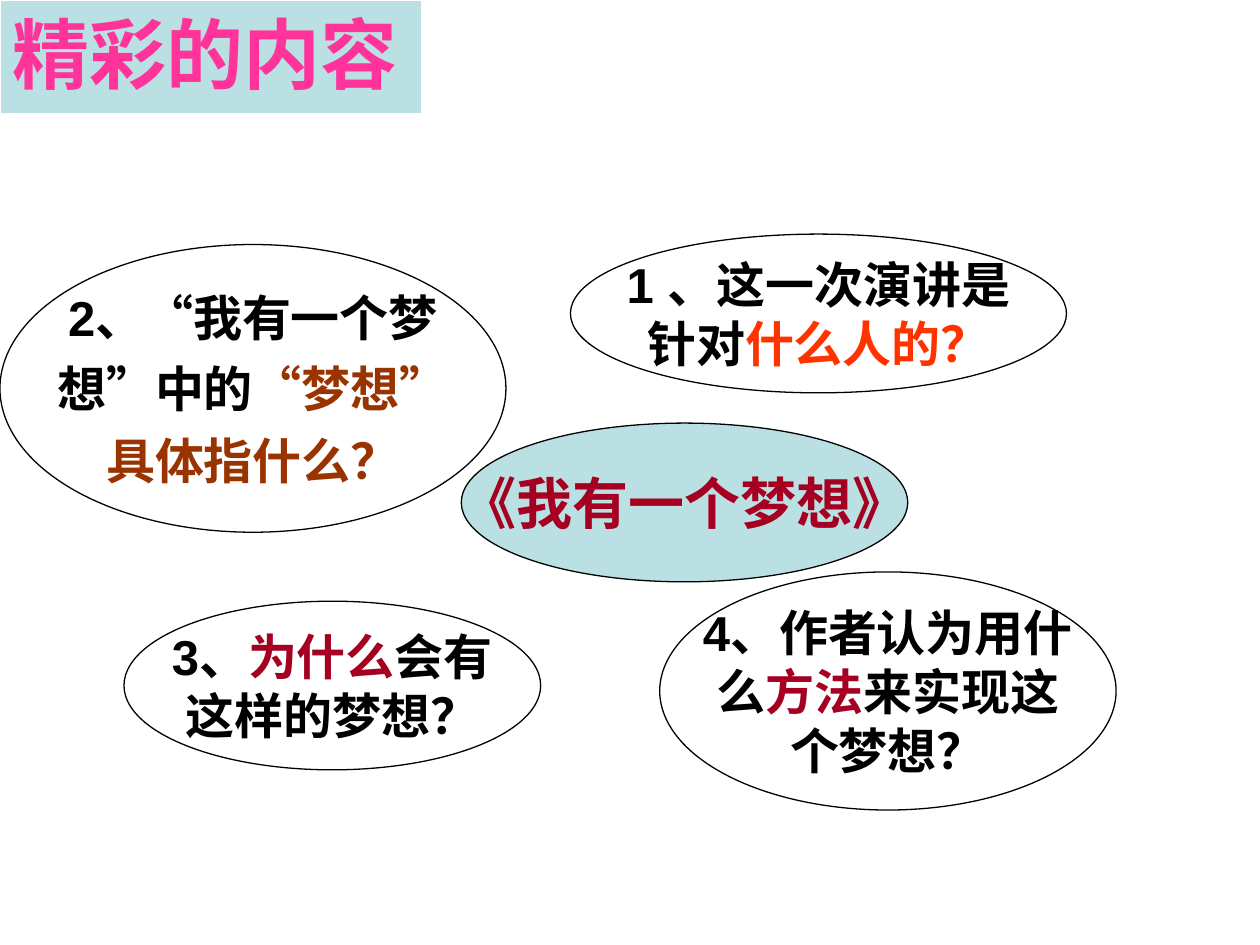
from pptx import Presentation
from pptx.dml.color import RGBColor
from pptx.enum.shapes import MSO_SHAPE
from pptx.enum.text import MSO_ANCHOR, MSO_AUTO_SIZE, PP_ALIGN
from pptx.util import Cm, Pt

BLACK = RGBColor(0x00, 0x00, 0x00)
WHITE = RGBColor(0xFF, 0xFF, 0xFF)
PALE_TEAL = RGBColor(0xBB, 0xE0, 0xE3)
PINK = RGBColor(0xFF, 0x33, 0x99)
CRIMSON = RGBColor(0xA5, 0x00, 0x21)
ORANGE = RGBColor(0xFF, 0x33, 0x00)
BROWN = RGBColor(0x99, 0x33, 0x00)

# Each question: left, top, width, height in cm, space between lines in points,
# and its lines, each a list of (text, colour) pieces.
QUESTIONS = [
    (11.5, 4.72, 10, 3.2, 0, [
        [("1 、这一次演讲是", BLACK)],
        [("针对", BLACK), ("什么人的？", ORANGE)],
    ]),
    (0, 4.93, 10.2, 5.8, 7, [
        [("2、“我有一个梦", BLACK)],
        [("想”中的", BLACK), ("“梦想”", BROWN)],
        [("具体指什么？", BROWN)],
    ]),
    (2.5, 12.12, 8.4, 3.4, 0, [
        [("3、", BLACK), ("为什么", CRIMSON), ("会有", BLACK)],
        [("这样的梦想？", BLACK)],
    ]),
    (13.3, 11.53, 9.2, 4.8, 0, [
        [("4、作者认为用什", BLACK)],
        [("么", BLACK), ("方法", CRIMSON), ("来实现这", BLACK)],
        [("个梦想？", BLACK)],
    ]),
]


class MindMap:
    font_name = "Arial"
    outline_width = Pt(0.75)

    def __init__(self, slide):
        self.slide = slide

    def shape(self, preset, box, fill, outline):
        shape = self.slide.shapes.add_shape(preset, *map(Cm, box))
        shape.shadow.inherit = False
        shape.fill.solid()
        shape.fill.fore_color.rgb = fill
        shape.line.color.rgb = outline
        shape.line.width = self.outline_width
        return shape

    def fill_paragraph(self, paragraph, pieces, size):
        """Fill a paragraph with (text, colour) pieces in the bold house font."""
        base_color = pieces[0][1]
        font = paragraph.font
        font.name, font.size, font.bold = self.font_name, Pt(size), True
        font.color.rgb = base_color
        for text, color in pieces:
            run = paragraph.add_run()
            run.text = text
            if color != base_color:
                run.font.color.rgb = color

    def heading(self, text):
        self.shape(MSO_SHAPE.RECTANGLE, (0, 0, 8.5, 2.3), PALE_TEAL, WHITE)
        frame = self.slide.shapes.add_textbox(0, 0, Cm(8.4), Cm(2.13)).text_frame
        frame.word_wrap = True
        frame.auto_size = MSO_AUTO_SIZE.SHAPE_TO_FIT_TEXT
        self.fill_paragraph(frame.paragraphs[0], [(text, PINK)], 44)

    def bubble(self, box, lines, fill=WHITE, size=28, gap=0):
        frame = self.shape(MSO_SHAPE.OVAL, box, fill, BLACK).text_frame
        frame.word_wrap = False
        frame.vertical_anchor = MSO_ANCHOR.MIDDLE
        for index, pieces in enumerate(lines):
            paragraph = frame.add_paragraph() if index else frame.paragraphs[0]
            paragraph.alignment = PP_ALIGN.CENTER
            if index and gap:
                paragraph.space_before = Pt(gap)
            self.fill_paragraph(paragraph, pieces, size)


def main():
    presentation = Presentation()
    presentation.slide_width, presentation.slide_height = Cm(25.4), Cm(19.05)
    mind_map = MindMap(presentation.slides.add_slide(presentation.slide_layouts[6]))

    mind_map.heading("精彩的内容")
    mind_map.bubble((9.3, 8.53, 9, 3.2), [[("《我有一个梦想》", CRIMSON)]],
                    fill=PALE_TEAL, size=32)
    for *box, gap, lines in QUESTIONS:
        mind_map.bubble(box, lines, gap=gap)

    presentation.save("out.pptx")


if __name__ == "__main__":
    main()
